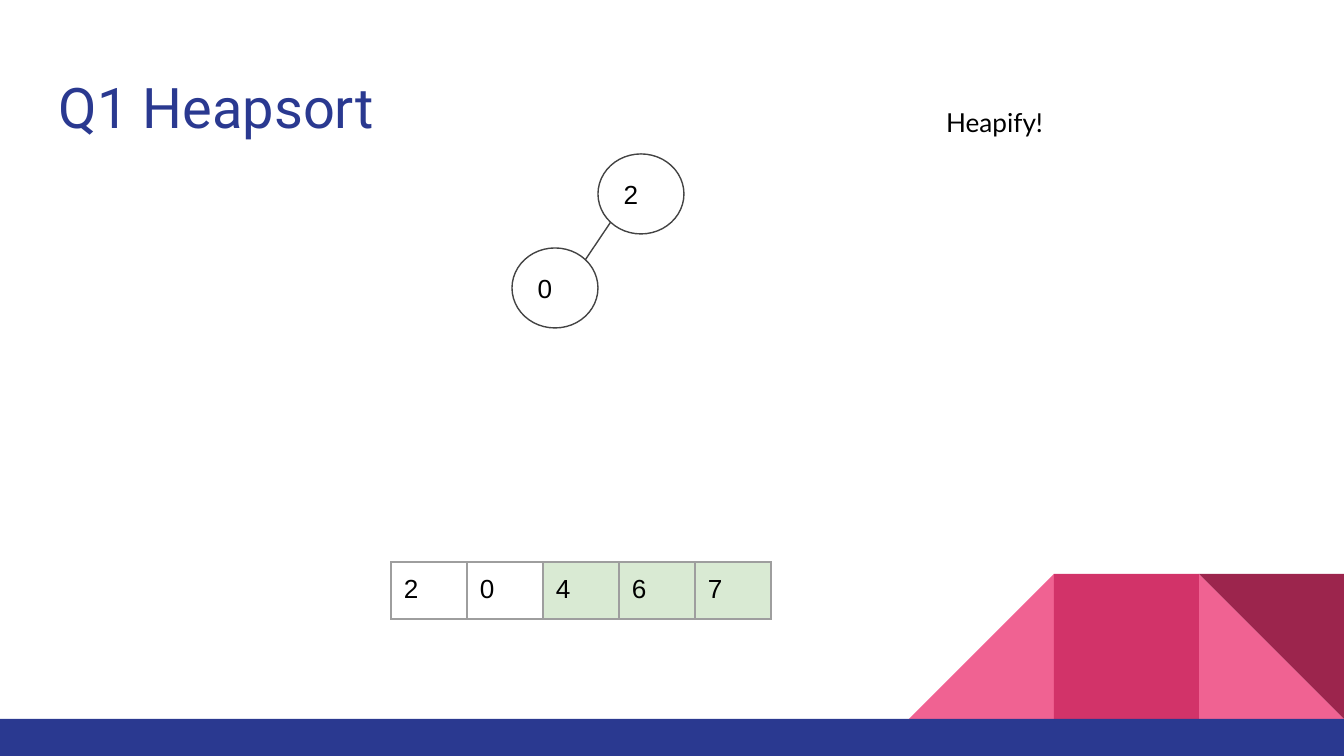
from math import sqrt
from lxml.etree import SubElement as Sub
from pptx import Presentation
from pptx.dml.color import RGBColor as Rgb
from pptx.enum.shapes import MSO_CONNECTOR as Conn, MSO_SHAPE as Kind
from pptx.enum.text import MSO_ANCHOR as Anchor, PP_ALIGN as Align
from pptx.oxml.ns import qn
from pptx.util import Emu, Pt

HUES = {"navy": "2A3990", "pink": "F06292", "rose": "D23369", "wine": "9C254D",
        "green": "D9EAD3", "gray": "9E9E9E", "dark": "434343", "black": "000000"}
TITLE = "Q1 Heapsort"
NOTE = "Heapify!"
HEAP = [2, 0, 4, 6, 7]
SIZE = 2

WIDE, HIGH = 1344, 756
PAD = 13
SIDE = 145
FLOOR = 719
NODE_W, NODE_H = 86, 80
ROOT = (641, 194)
STEP_X, STEP_Y = 86, 94
CELL_W, CELL_H = 76, 57


def px(n):
    return Emu(round(n * 914400 / 134.4))


def box(*sides):
    return [px(n) for n in sides]


def hue(name):
    return Rgb.from_string(HUES[name])


def write(frame, text, size, face, tint="black"):
    frame.text = str(text)
    frame.word_wrap = True
    frame.margin_left = frame.margin_right = px(PAD)
    frame.margin_top = frame.margin_bottom = px(PAD)
    para = frame.paragraphs[0]
    para.alignment = Align.LEFT
    font = para.font
    font.size, font.name, font.color.rgb = Pt(size), face, hue(tint)


def block(kind, tint, *sides):
    shape = slide.shapes.add_shape(kind, *box(*sides))
    shape.shadow.inherit = False
    shape.fill.solid()
    shape.fill.fore_color.rgb = hue(tint)
    shape.line.fill.background()
    return shape


def edge(line):
    line.color.rgb = hue("dark")
    line.width = Pt(0.75)


def place(i):
    row = (i + 1).bit_length() - 1
    col = i + 1 - 2 ** row
    return ROOT[0] + STEP_X * (2 * col - row), ROOT[1] + STEP_Y * row


def border(cell):
    props = cell._tc.get_or_add_tcPr()
    for n, tag in enumerate(("a:lnL", "a:lnR", "a:lnT", "a:lnB")):
        line = props.makeelement(qn(tag), {"w": str(Pt(0.75))})
        fill = Sub(line, qn("a:solidFill"))
        Sub(fill, qn("a:srgbClr"), val=HUES["gray"])
        props.insert(n, line)


deck = Presentation()
deck.slide_width, deck.slide_height = px(WIDE), px(HIGH)
slide = deck.slides.add_slide(deck.slide_layouts[5])

right, mid, left = [WIDE - SIDE * n for n in (1, 2, 3)]
top = FLOOR - SIDE
block(Kind.RIGHT_TRIANGLE, "pink", right, top, SIDE, SIDE)
slope = block(Kind.RIGHT_TRIANGLE, "pink", left, top, SIDE, SIDE)
slope._element.spPr.xfrm.set("flipH", "1")
block(Kind.RECTANGLE, "rose", mid, top, SIDE, SIDE)
block(Kind.RIGHT_TRIANGLE, "wine", right, top, SIDE, SIDE).rotation = 180
block(Kind.RECTANGLE, "navy", 0, FLOOR, WIDE, HIGH - FLOOR)

title = slide.shapes.title
title.left, title.top, title.width, title.height = box(46, 60, 1252, 89)
write(title.text_frame, TITLE, 30, "Roboto", "navy")
title.text_frame.vertical_anchor = Anchor.TOP

grid = slide.shapes.add_table(1, len(HEAP), *box(391, 562, CELL_W * len(HEAP), CELL_H)).table
grid.first_row = grid.horz_banding = False
for i, key in enumerate(HEAP):
    grid.columns[i].width = px(CELL_W)
    cell = grid.cell(0, i)
    write(cell.text_frame, key, 14, "Arial")
    cell.margin_left = cell.margin_right = px(PAD)
    cell.margin_top = cell.margin_bottom = px(PAD)
    if i < SIZE:
        cell.fill.background()
    else:
        cell.fill.solid()
        cell.fill.fore_color.rgb = hue("green")
    border(cell)

for i, key in enumerate(HEAP[:SIZE]):
    x, y = place(i)
    node = slide.shapes.add_shape(
        Kind.OVAL, *box(x - NODE_W / 2, y - NODE_H / 2, NODE_W, NODE_H))
    node.shadow.inherit = False
    node.fill.background()
    edge(node.line)
    write(node.text_frame, key, 14, "Arial")
    node.text_frame.vertical_anchor = Anchor.MIDDLE
    if i:
        up_x, up_y = place((i - 1) // 2)
        dx, dy = NODE_W / sqrt(8), NODE_H / sqrt(8)
        way = 1 if up_x > x else -1
        link = slide.shapes.add_connector(
            Conn.STRAIGHT, *box(x + way * dx, y - dy, up_x - way * dx, up_y + dy))
        edge(link.line)
        Sub(link._element.spPr, qn("a:effectLst"))

note = slide.shapes.add_textbox(*box(933, 93, 261, 58))
write(note.text_frame, NOTE, 14, "Lato")

deck.save("out.pptx")
